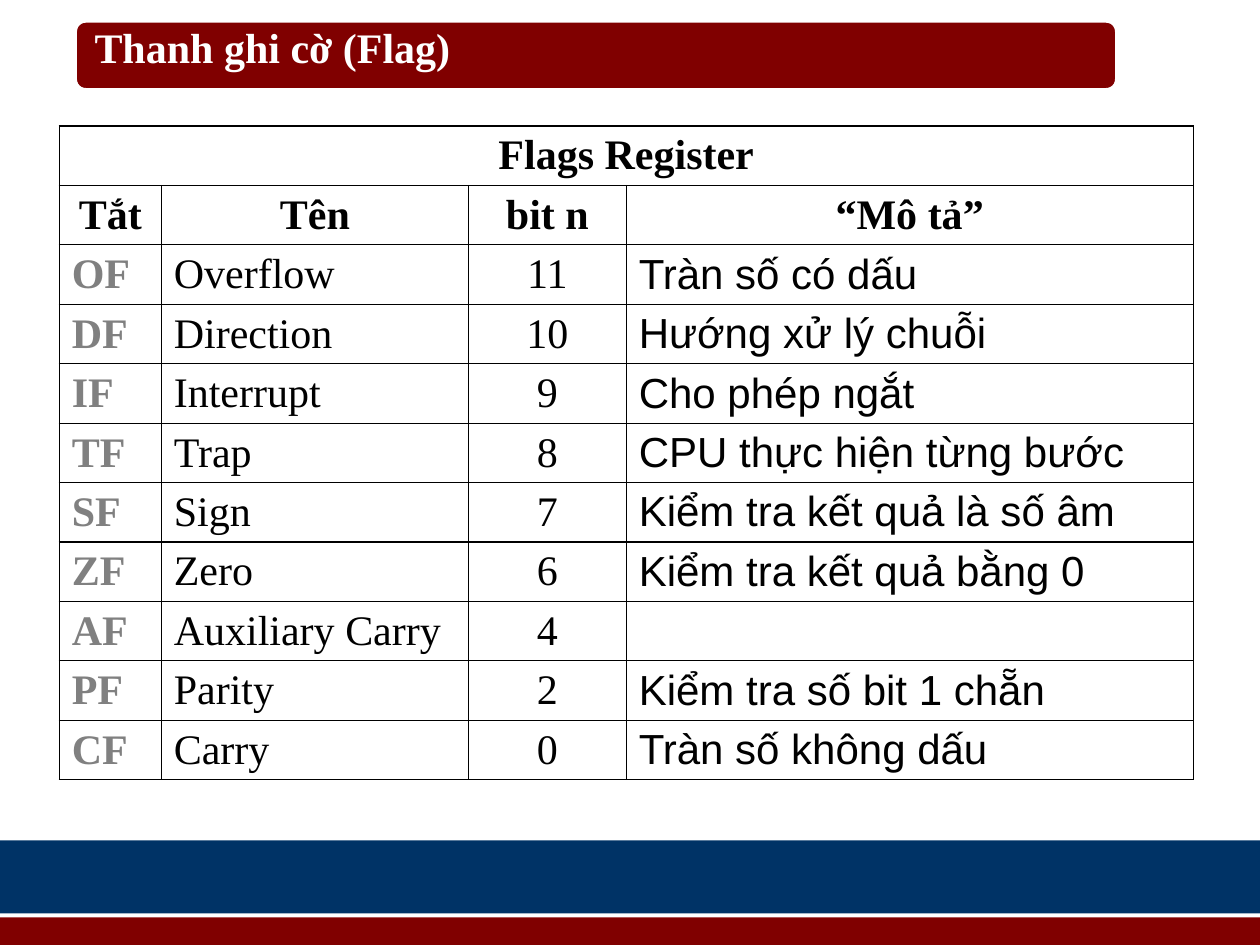
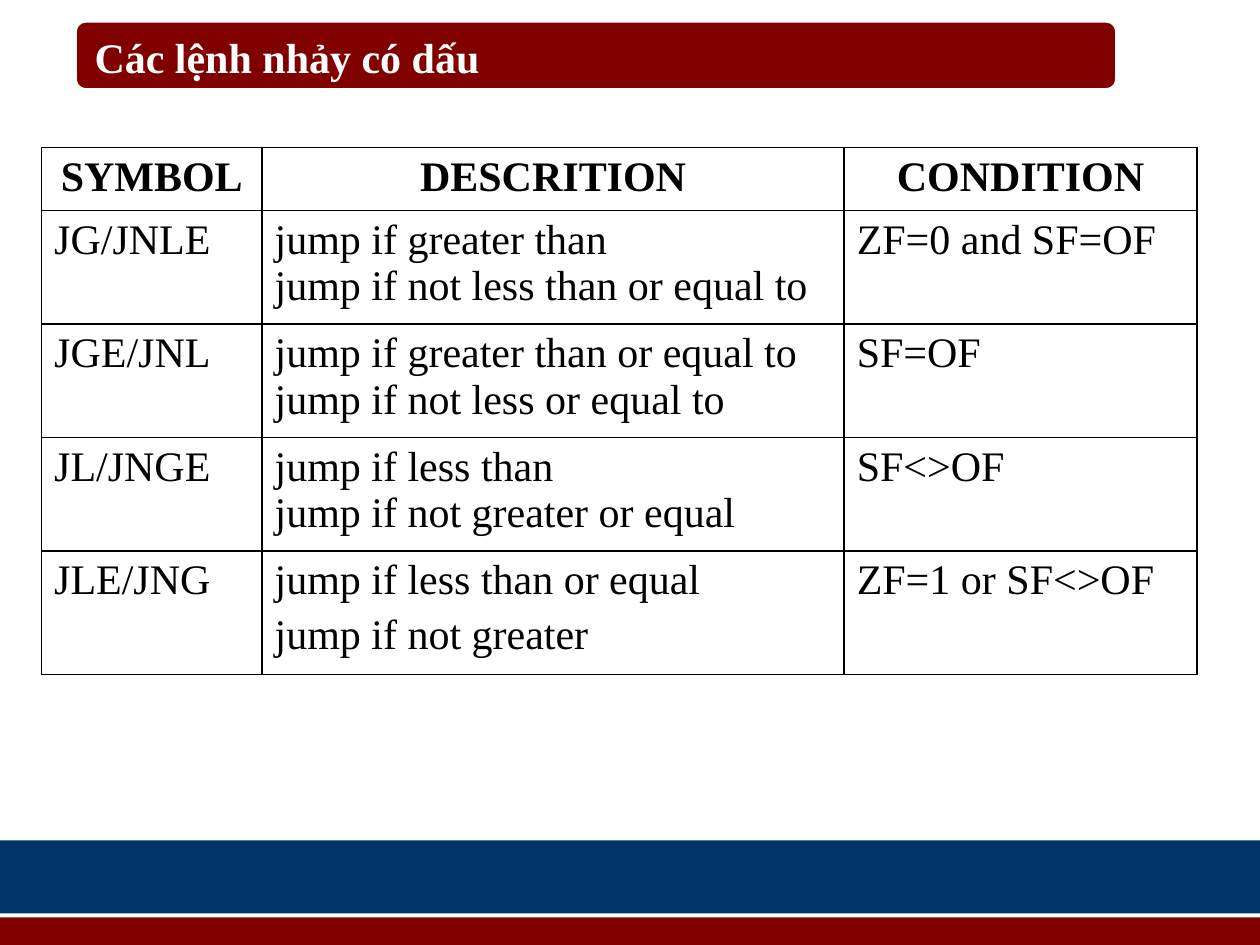
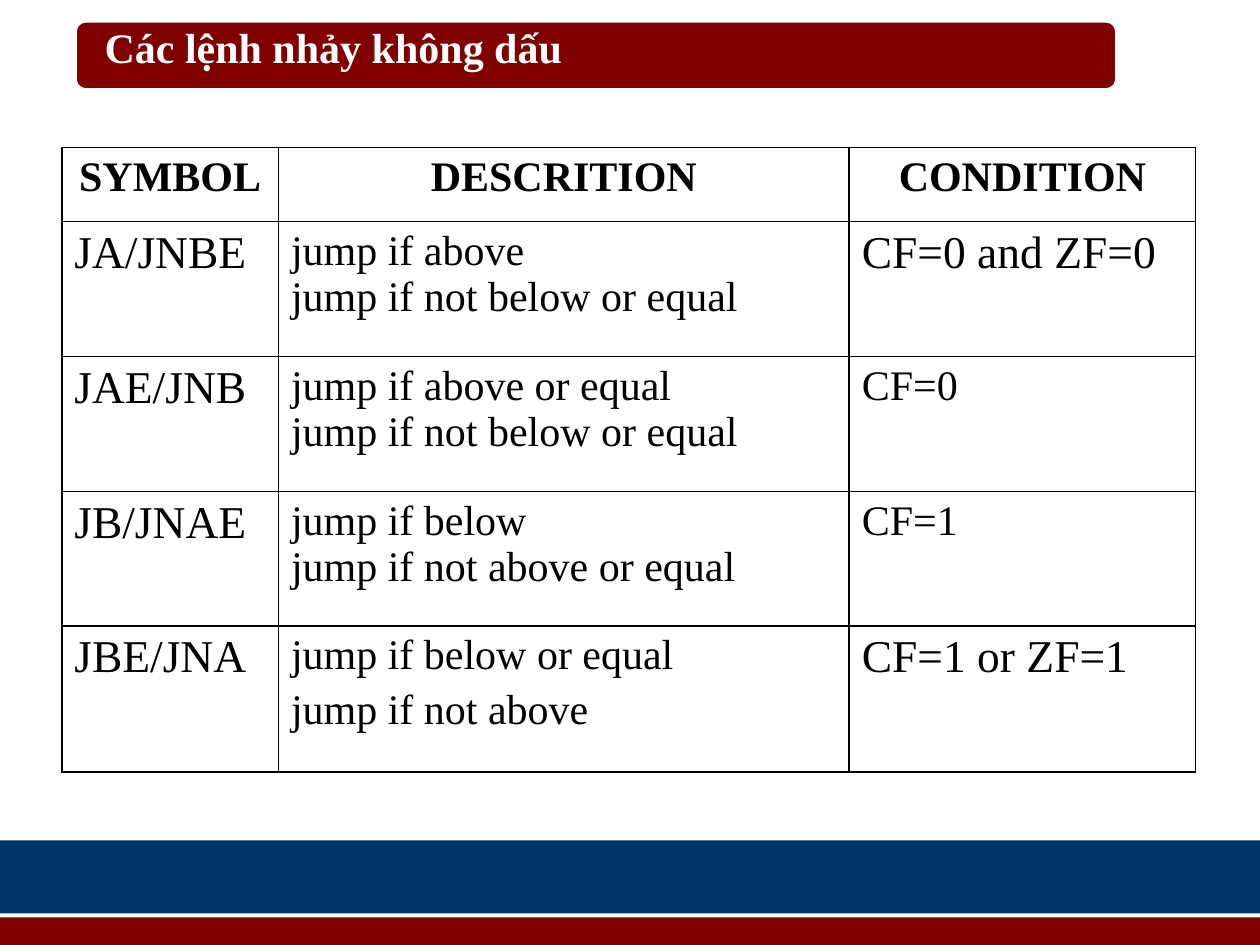
from lxml import etree
from pptx import Presentation
from pptx import util as u
from pptx.dml.color import RGBColor
from pptx.enum import shapes, text
from pptx.oxml import ns

MAROON = RGBColor(0x80, 0x00, 0x00)
NAVY = RGBColor(0x00, 0x33, 0x66)
WHITE = RGBColor(0xFF, 0xFF, 0xFF)
BLACK = RGBColor(0x00, 0x00, 0x00)
GRAY = RGBColor(0x80, 0x80, 0x80)

SERIF = "Times New Roman"
SANS = "Arial"
BODY = {"name": SERIF, "size": u.Pt(24), "bold": False}
BOLD = BODY | {"bold": True}
LARGE = BODY | {"size": u.Pt(26)}
HANGING = u.Inches(0.38)

FLAG_ROWS = [
    ("Flags Register", "", "", ""),
    ("Tắt", "Tên", "bit n", "“Mô tả”"),
    ("OF", "Overflow", "11", "Tràn số có dấu"),
    ("DF", "Direction", "10", "Hướng xử lý chuỗi"),
    ("IF", "Interrupt", "9", "Cho phép ngắt"),
    ("TF", "Trap", "8", "CPU thực hiện từng bước"),
    ("SF", "Sign", "7", "Kiểm tra kết quả là số âm"),
    ("ZF", "Zero", "6", "Kiểm tra kết quả bằng 0"),
    ("AF", "Auxiliary Carry", "4", ""),
    ("PF", "Parity", "2", "Kiểm tra số bit 1 chẵn"),
    ("CF", "Carry", "0", "Tràn số không dấu"),
]
FLAG_ROW_HEIGHT = 5.19 / len(FLAG_ROWS)
JUMP_HEADER = ("SYMBOL", "DESCRITION", "CONDITION")
SIGNED_ROWS = [
    JUMP_HEADER,
    ("JG/JNLE", "jump if greater than\njump if not less than or equal to", "ZF=0 and SF=OF"),
    ("JGE/JNL", "jump if greater than or equal to\njump if not less or equal to", "SF=OF"),
    ("JL/JNGE", "jump if less than\njump if not greater or equal", "SF<>OF"),
    ("JLE/JNG", "jump if less than or equal\njump if not greater", "ZF=1 or SF<>OF"),
]
UNSIGNED_ROWS = [
    JUMP_HEADER,
    ("JA/JNBE", "jump if above\njump if not below or equal", "CF=0 and ZF=0"),
    ("JAE/JNB", "jump if above or equal\njump if not below or equal", "CF=0"),
    ("JB/JNAE", "jump if below\njump if not above or equal", "CF=1"),
    ("JBE/JNA", "jump if below or equal\njump if not above", "CF=1 or ZF=1"),
]


def set_font(font, values, color):
    for name, value in values.items():
        setattr(font, name, value)
    font.color.rgb = color


def add_band(slide, kind, place, color):
    band = slide.shapes.add_shape(kind, *map(u.Inches, place))
    band.shadow.inherit = False
    band.fill.solid()
    band.fill.fore_color.rgb = color
    band.line.fill.background()
    return band


def share_bands(slide):
    """Draw the title bar and footer bands and move them to the slide's layout."""
    box = shapes.MSO_SHAPE.RECTANGLE
    footer = add_band(slide, box, (0, 7.28, 10, 0.22), MAROON)
    title_bar = add_band(slide, shapes.MSO_SHAPE.ROUNDED_RECTANGLE,
                         (0.59, 0.16, 8.28, 0.56), MAROON)
    title_bar.adjustments[0] = 0.16
    title_bar.line.color.rgb = WHITE
    title_bar.line.width = u.Pt(3)
    strip = add_band(slide, box, (0, 6.67, 10, 0.58), NAVY)

    tree = slide.slide_layout.shapes.element
    for number, band in enumerate((footer, title_bar, strip), start=101):
        band.element.xpath("./p:nvSpPr/p:cNvPr")[0].set("id", str(number))
        tree.append(band.element)


def set_title(slide, words, place):
    title = slide.shapes.title
    for name, value in zip(("left", "top", "width", "height"), place):
        setattr(title, name, u.Inches(value))
    frame = title.text_frame
    frame.text = words
    layout = {
        "margin_left": 0, "margin_right": 0, "margin_top": 0, "margin_bottom": 0,
        "word_wrap": True,
        "vertical_anchor": text.MSO_ANCHOR.TOP,
        "auto_size": text.MSO_AUTO_SIZE.SHAPE_TO_FIT_TEXT,
    }
    for name, value in layout.items():
        setattr(frame, name, value)
    para = frame.paragraphs[0]
    para.alignment = text.PP_ALIGN.LEFT
    set_font(para.runs[0].font, BOLD, WHITE)


def set_borders(cell, width):
    properties = cell._tc.get_or_add_tcPr()
    for index, side in enumerate(("lnL", "lnR", "lnT", "lnB")):
        line = etree.Element(ns.qn(f"a:{side}"), w=str(u.Pt(width)))
        fill = etree.SubElement(line, ns.qn("a:solidFill"))
        etree.SubElement(fill, ns.qn("a:srgbClr"), val=str(BLACK))
        properties.insert(index, line)


def fill_cell(cell, words, look, line_gap):
    """Write one paragraph per line, with line_gap points between them."""
    font, color, align = look
    cell.text = words
    for index, para in enumerate(cell.text_frame.paragraphs):
        para.alignment = align
        properties = para._p.get_or_add_pPr()
        properties.set("marL", str(HANGING))
        properties.set("indent", str(-HANGING))
        if index and line_gap:
            para.space_before = u.Pt(line_gap)
        for span in para.runs:
            set_font(span.font, font, color)


def add_grid(slide, rows, corner, widths, heights, look_of, border,
             anchor=text.MSO_ANCHOR.TOP, margin=0.05, last_gap=0):
    """Add a ruled table; look_of(row, column) gives font, colour, alignment."""
    place = (*corner, sum(widths), sum(heights))
    table = slide.shapes.add_table(len(rows), len(widths), *map(u.Inches, place)).table
    table.first_row = table.horz_banding = False
    for column, width in zip(table.columns, widths):
        column.width = u.Inches(width)
    for row, height in zip(table.rows, heights):
        row.height = u.Inches(height)
    for r, row in enumerate(rows):
        line_gap = last_gap if r == len(rows) - 1 else 0
        for c, words in enumerate(row):
            cell = table.cell(r, c)
            cell.vertical_anchor = anchor
            cell.margin_top = cell.margin_bottom = u.Inches(margin)
            cell.fill.background()
            set_borders(cell, border)
            fill_cell(cell, words, look_of(r, c), line_gap)
    return table


def flag_look(row, column):
    if row < 2:
        return BOLD, BLACK, text.PP_ALIGN.CENTER
    return (
        (BOLD, GRAY, text.PP_ALIGN.LEFT),
        (BODY, BLACK, text.PP_ALIGN.LEFT),
        (BODY, BLACK, text.PP_ALIGN.CENTER),
        (BODY | {"name": SANS}, BLACK, text.PP_ALIGN.LEFT),
    )[column]


def signed_look(row, column):
    if row == 0:
        return BOLD, BLACK, text.PP_ALIGN.CENTER
    return BODY, BLACK, text.PP_ALIGN.LEFT


def unsigned_look(row, column):
    """Symbols and two-part conditions are set larger."""
    large = row > 0 and (column == 0 or (column == 2 and row in (1, 4)))
    return (LARGE, BLACK, text.PP_ALIGN.LEFT) if large else signed_look(row, column)


def main():
    deck = Presentation()
    deck.slide_width, deck.slide_height = u.Inches(10), u.Inches(7.5)
    title_only = deck.slide_layouts[5]
    flags, signed, unsigned = (deck.slides.add_slide(title_only) for _ in range(3))
    share_bands(flags)

    set_title(flags, "Thanh ghi cờ (Flag)", (0.75, 0.17, 7.42, 0.36))
    table = add_grid(flags, FLAG_ROWS, (0.47, 1), (0.81, 2.44, 1.25, 4.5),
                     [FLAG_ROW_HEIGHT] * len(FLAG_ROWS), flag_look, 0.75,
                     anchor=text.MSO_ANCHOR.MIDDLE, margin=0.02)
    table.cell(0, 0).merge(table.cell(0, 3))

    set_title(signed, "Các lệnh nhảy có dấu", (0.75, 0.25, 9, 0.45))
    add_grid(signed, SIGNED_ROWS, (0.33, 1.17), (1.75, 4.62, 2.8),
             (0.5, 0.9, 0.9, 0.9, 0.98), signed_look, 1, last_gap=4.8)

    set_title(unsigned, "Các lệnh nhảy không dấu", (0.83, 0.17, 9, 0.62))
    add_grid(unsigned, UNSIGNED_ROWS, (0.49, 1.17), (1.72, 4.53, 2.75),
             (0.59, 1.07, 1.07, 1.07, 1.16), unsigned_look, 1, last_gap=4.8)

    deck.save("out.pptx")


if __name__ == "__main__":
    main()
